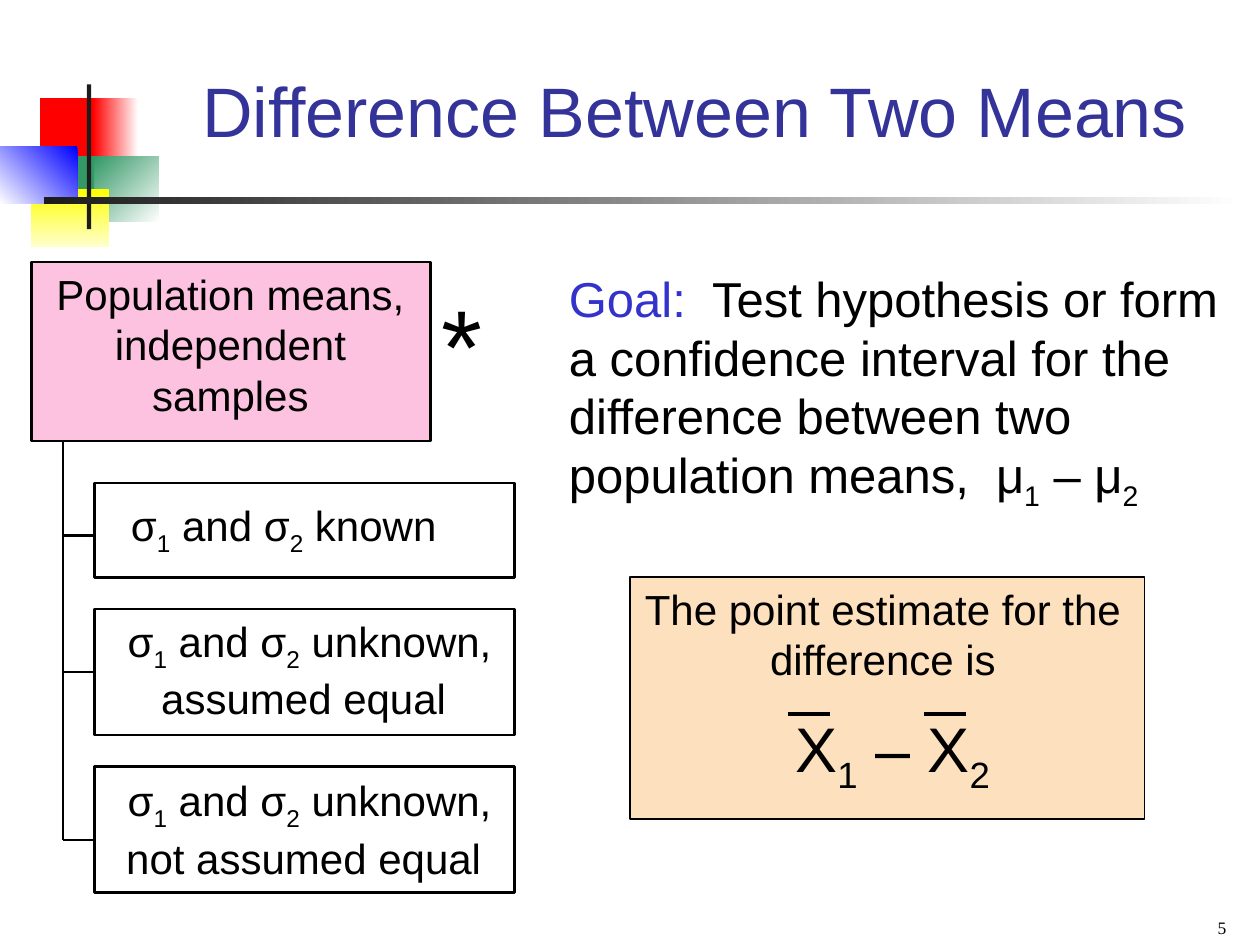
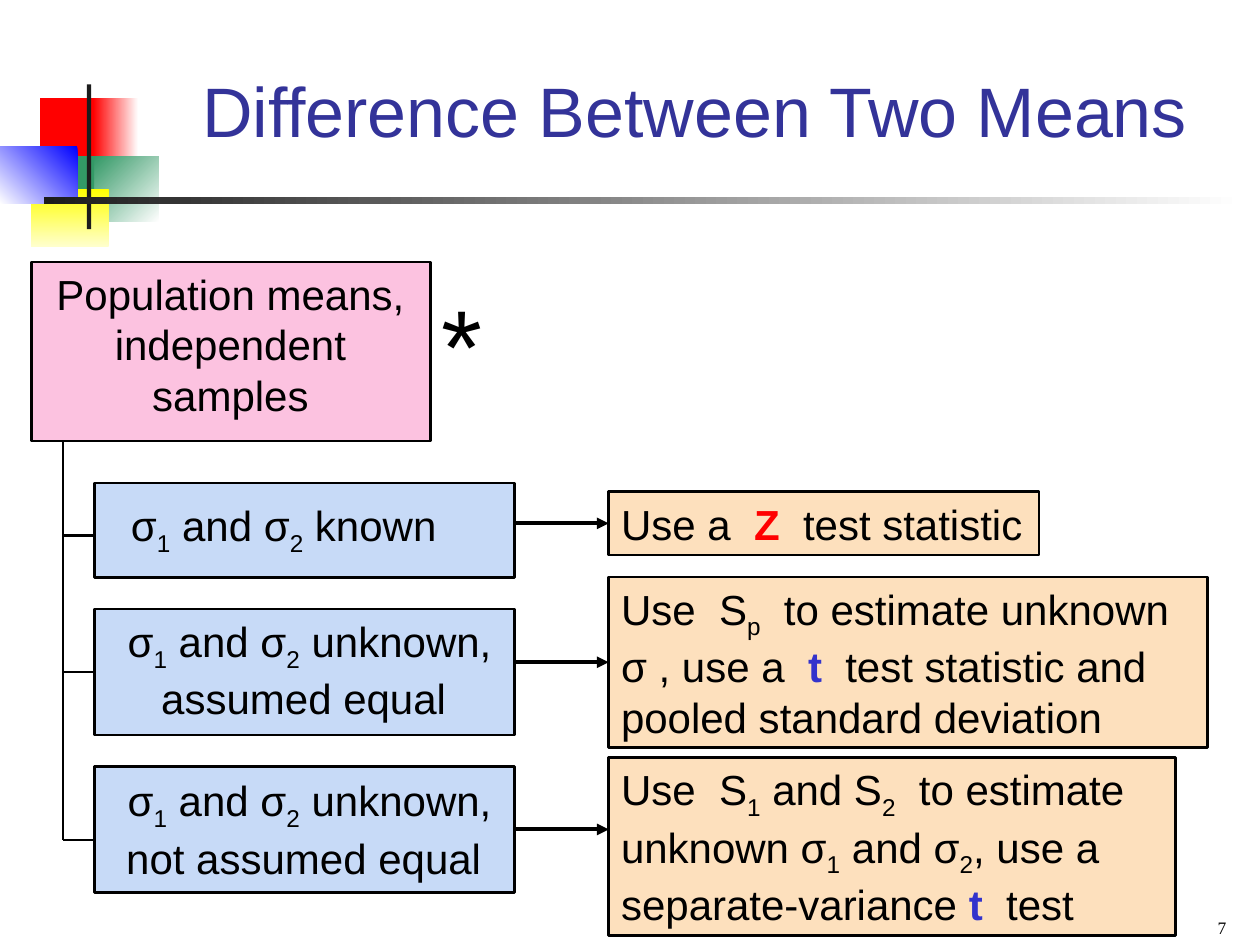
from dataclasses import dataclass

from lxml.etree import SubElement
from pptx import Presentation
from pptx.dml.color import RGBColor
from pptx.enum.shapes import MSO_CONNECTOR as Link, MSO_SHAPE as Shape
from pptx.enum.text import MSO_ANCHOR as Anchor, PP_ALIGN as Align
from pptx.oxml.ns import qn
from pptx.util import Cm, Pt


@dataclass(frozen=True)
class Theme:
    sans: str = "Arial"
    serif: str = "Times New Roman"
    ink: str = "000000"
    title: str = "333399"
    accent: str = "3333CC"
    alert: str = "FF0000"
    pink: str = "FCC2E0"
    blue: str = "C7DAF7"
    peach: str = "FDE0BD"
    title_size: int = 40
    goal_size: int = 28
    body_size: int = 24
    formula_size: int = 36
    star_size: int = 60
    number_size: int = 10
    thin: float = 0.75
    border: float = 1.5
    bold_line: float = 2.25


THEME = Theme()

# Content: a run is plain text or (text, style)
SUB, GOAL, Z, T = "sub", "goal", "z", "t"
RUN_STYLES = {
    GOAL: (THEME.accent, False),
    Z: (THEME.alert, True),
    T: (THEME.accent, True),
}
ONE, TWO = ("1", SUB), ("2", SUB)
SIGMAS = ["σ", ONE, " and σ", TWO]

TITLE = ["Difference Between Two Means"]
POPULATION = ["Population means, independent samples"]
GOAL_TEXT = [
    ("Goal:", GOAL),
    "  Test hypothesis or form a confidence interval for the difference"
    " between two population means,  μ", ONE, " – μ", TWO,
]
ESTIMATE = ["The point estimate for the difference is"]
FORMULA = ["X", ONE, " – X", TWO]

# Each case: runs, top, height, insets (left, top, right, bottom), branch y
CASES = [
    (SIGMAS + [" known"], 9.74, 1.9, (0.69, 0.34, 1.52, 0.13), 10.8),
    (SIGMAS + [" unknown, assumed equal "], 12.28, 2.54, (0.46, 0.13, 0.25, 0.13), 13.55),
    (SIGMAS + [" unknown, not assumed equal "], 15.45, 2.54, (0.46, 0.17, 0.25, 0.13), 16.93),
]
# Each outcome: runs, top, width, height, arrow y
OUTCOMES = [
    (["Use a  ", ("Z ", Z), " test statistic"], 9.91, 8.68, 1.28, 10.55),
    (["Use  S", ("p", SUB), "  to estimate unknown σ , use a  ", ("t", T),
      "  test statistic and pooled standard deviation"], 11.63, 12.07, 3.44, 13.35),
    (["Use  S", ONE, " and S", TWO, "  to estimate unknown σ", ONE, " and σ", TWO,
      ", use a  separate-variance ", ("t", T), "  test"], 15.27, 11.43, 3.59, 16.72),
]

# Each tile: place, colours (two make a gradient), counterclockwise angle
ORNAMENT = [
    ((0.81, 1.98, 1.23, 1.32), ["FF0000"], 0),
    ((1.88, 1.98, 0.91, 1.32), ["FFFFFF", "FF0000"], 180),
    ((1.9, 3.15, 1.3, 1.32), ["FFFFFF", "339966"], 135),
    ((1.09, 3.15, 0.81, 1.32), ["339966"], 0),
    ((0.63, 3.81, 1.56, 1.16), ["FFFF00", "FFFFCC"], 270),
    ((0, 2.95, 1.56, 1.16), ["0000FF", "FFFFFF"], 225),
    ((1.75, 1.7, 0.09, 2.92), ["1C1C1C"], 0),
    ((0.88, 3.97, 24.16, 0.15), ["FFFFFF", "1C1C1C"], 180),
]

TRUNK_X, TRUNK_TOP = 1.27, 8.89
CASE_LEFT, CASE_WIDTH = 1.9, 8.47
OUTCOME_LEFT = 12.27
OVERLINE_Y, OVERLINE_WIDTH = 14.4, 0.85
OVERLINE_LEFTS = (15.88, 18.63)
INSETS = (0.25, 0.13, 0.25, 0.13)


def colour(hex_code):
    return RGBColor.from_string(hex_code)


def rectangle(slide, place, colours=(), angle=0, line=None):
    box = slide.shapes.add_shape(Shape.RECTANGLE, *map(Cm, place))
    box.shadow.inherit = False
    if len(colours) == 2:
        box.fill.gradient()
        box.fill.gradient_angle = angle
        for stop, shade in zip(box.fill.gradient_stops, colours):
            stop.color.rgb = colour(shade)
    elif colours:
        box.fill.solid()
        box.fill.fore_color.rgb = colour(colours[0])
    else:
        box.fill.background()
    if line:
        box.line.color.rgb = colour(THEME.ink)
        box.line.width = Pt(line)
    else:
        box.line.fill.background()
    return box


def write(box, runs, size=THEME.body_size, align=Align.CENTER, insets=INSETS,
          anchor=Anchor.TOP, font=THEME.sans, ink=THEME.ink):
    frame = box.text_frame
    frame.word_wrap = True
    frame.vertical_anchor = anchor
    (frame.margin_left, frame.margin_top,
     frame.margin_right, frame.margin_bottom) = map(Cm, insets)
    paragraph = frame.paragraphs[0]
    paragraph.alignment = align
    for item in runs:
        words, style = (item, None) if isinstance(item, str) else item
        shade, bold = RUN_STYLES.get(style, (ink, False))
        run = paragraph.add_run()
        run.text = words
        run.font.name = font
        run.font.size = Pt(size)
        run.font.bold = bold
        run.font.color.rgb = colour(shade)
        if style == SUB:
            run._r.get_or_add_rPr().set("baseline", "-25000")


def caption(slide, place, runs, **options):
    write(slide.shapes.add_textbox(*map(Cm, place)), runs, **options)


def connect(slide, start, end, width=THEME.border, arrow=False):
    link = slide.shapes.add_connector(Link.STRAIGHT, *map(Cm, start + end))
    link.line.color.rgb = colour(THEME.ink)
    link.line.width = Pt(width)
    if arrow:
        SubElement(link.line._get_or_add_ln(), qn("a:tailEnd"), type="triangle")
    SubElement(link._element.spPr, qn("a:effectLst"))
    return link


def join_if_centred(attach, box, side, y):
    """Glue a connector's end to a box when y is the middle of its side."""
    if abs(box.top + box.height / 2 - Cm(y)) < Cm(0.02):
        attach(box, side)


def add_base(deck, number):
    """Start a slide with the ornament, title and page number."""
    slide = deck.slides.add_slide(deck.slide_layouts[6])
    for place, colours, angle in ORNAMENT:
        rectangle(slide, place, colours, angle)
    caption(slide, (3.18, 1.07, 21.64, 2.11), TITLE, size=THEME.title_size,
            anchor=Anchor.BOTTOM, ink=THEME.title)
    caption(slide, (19.05, 18.16, 5.92, 0.89), [number], size=THEME.number_size,
            align=Align.RIGHT, anchor=Anchor.BOTTOM, font=THEME.serif)
    return slide


def add_case_tree(slide, fills=()):
    population = rectangle(slide, (0.63, 5.28, 8.05, 3.61), [THEME.pink], line=THEME.border)
    write(population, POPULATION, insets=(0.46, 0.13, 0.48, 0.13))
    caption(slide, (8.46, 5.5, 1.7, 2.79), ["*"], size=THEME.star_size)
    connect(slide, (TRUNK_X, TRUNK_TOP), (TRUNK_X, CASES[-1][-1]))
    boxes = []
    for runs, top, height, insets, y in CASES:
        box = rectangle(slide, (CASE_LEFT, top, CASE_WIDTH, height), fills, line=THEME.border)
        write(box, runs, insets=insets)
        branch = connect(slide, (TRUNK_X, y), (CASE_LEFT, y))
        join_if_centred(branch.end_connect, box, 1, y)
        boxes.append(box)
    return boxes


def add_goal_slide(deck):
    slide = add_base(deck, "5")
    add_case_tree(slide)
    caption(slide, (11.22, 5.28, 14.18, 5.16), GOAL_TEXT, size=THEME.goal_size, align=Align.LEFT)
    estimate = rectangle(slide, (12.7, 11.63, 10.37, 4.88), [THEME.peach], line=THEME.thin)
    write(estimate, ESTIMATE, insets=(0.13, 0.13, 0.3, 0.13))
    caption(slide, (11.43, 14.17, 13.13, 2.01), FORMULA, size=THEME.formula_size)
    for left in OVERLINE_LEFTS:
        connect(slide, (left, OVERLINE_Y), (left + OVERLINE_WIDTH, OVERLINE_Y), THEME.bold_line)


def add_test_slide(deck):
    slide = add_base(deck, "7")
    cases = add_case_tree(slide, [THEME.blue])
    for case, (runs, top, width, height, y) in zip(cases, OUTCOMES):
        outcome = rectangle(slide, (OUTCOME_LEFT, top, width, height), [THEME.peach],
                            line=THEME.border)
        write(outcome, runs, align=Align.LEFT)
        arrow = connect(slide, (CASE_LEFT + CASE_WIDTH, y), (OUTCOME_LEFT, y),
                        THEME.bold_line, arrow=True)
        join_if_centred(arrow.begin_connect, case, 3, y)
        join_if_centred(arrow.end_connect, outcome, 1, y)


def main():
    deck = Presentation()
    deck.slide_width, deck.slide_height = Cm(25.4), Cm(19.05)
    add_goal_slide(deck)
    add_test_slide(deck)
    deck.save("out.pptx")


if __name__ == "__main__":
    main()
